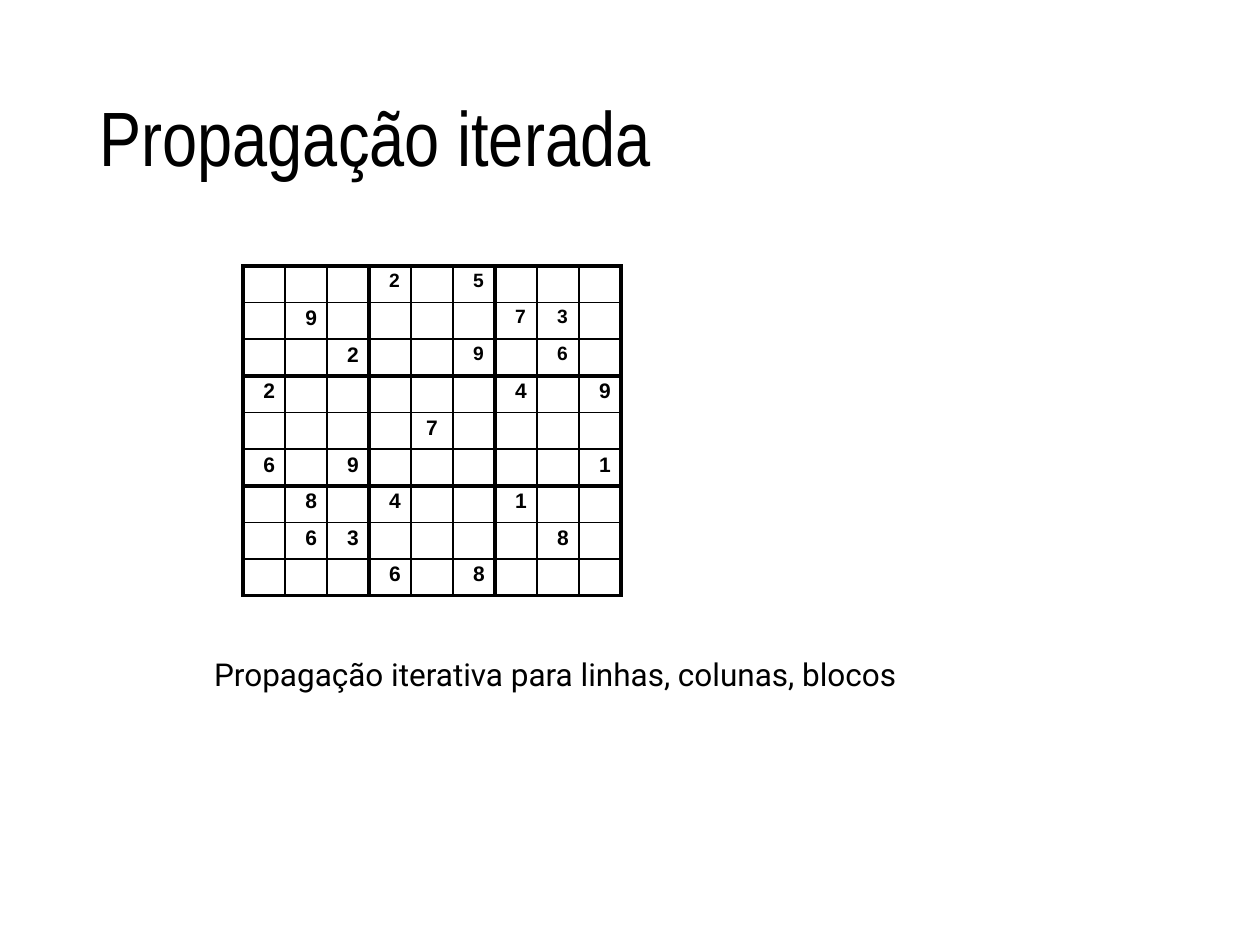
from dataclasses import dataclass

from lxml.etree import SubElement
from pptx import Presentation
from pptx.dml.color import RGBColor
from pptx.enum.text import MSO_ANCHOR, MSO_AUTO_SIZE, PP_ALIGN
from pptx.oxml.ns import qn
from pptx.util import Inches, Pt


@dataclass(frozen=True)
class Theme:
    ink: str = "000000"
    title_font: str = "Arial Narrow"
    body_font: str = "Roboto"
    digit_font: str = "Arial"
    title_size: float = 44
    body_size: float = 18
    digit_size: float = 12
    small_digit_size: float = 11
    thin: float = 1
    thick: float = 2.25


THEME = Theme()
WIDTH, HEIGHT = Inches(10), Inches(7.5)
BLOCK = 3
PUZZLE = [
    "...2.5...",
    ".9....73.",
    "..2..9.6.",
    "2.....4.9",
    "....7....",
    "6.9.....1",
    ".8.4..1..",
    ".63....8.",
    "...6.8...",
]


def share(left, top, width, height):
    """Box in EMU from shares of the slide's size."""
    return [round(part * whole) for part, whole in
            zip((left, top, width, height), (WIDTH, HEIGHT) * 2)]


def write(tf, text, *, font, size, bold=False, align=PP_ALIGN.LEFT,
          before=0, line=None, indent=0):
    p = tf.paragraphs[0]
    p.alignment, p.space_before = align, Pt(before)
    if line:
        p.line_spacing = line
    if indent:
        pPr = p._p.get_or_add_pPr()
        pPr.set("marL", str(Inches(indent)))
        pPr.set("indent", "0")
    r = p.add_run()
    r.text = text
    r.font.name, r.font.size, r.font.bold = font, Pt(size), bold
    r.font.color.rgb = RGBColor.from_string(THEME.ink)


def set_margins(target, top):
    target.margin_left = target.margin_right = target.margin_bottom = 0
    target.margin_top = Inches(top)


def add_title(s, box, text):
    sp = s.shapes.title
    sp.left, sp.top, sp.width, sp.height = box
    tf = sp.text_frame
    tf.auto_size = MSO_AUTO_SIZE.NONE
    tf.vertical_anchor = MSO_ANCHOR.MIDDLE
    write(tf, text, font=THEME.title_font, size=THEME.title_size, line=0.9)


def set_borders(cell, row, col):
    """Thick lines around each block, thin lines inside it."""
    last = BLOCK - 1
    thick = {
        "L": col % BLOCK == 0,
        "R": col % BLOCK == last and col < len(PUZZLE),
        "T": row % BLOCK == 0,
        "B": row % BLOCK == last,
    }
    tcPr = cell._tc.get_or_add_tcPr()
    for side, is_thick in thick.items():
        width = Pt(THEME.thick if is_thick else THEME.thin)
        ln = SubElement(tcPr, qn(f"a:ln{side}"), w=str(width))
        fill = SubElement(ln, qn("a:solidFill"))
        SubElement(fill, qn("a:srgbClr"), val=THEME.ink)


def fill_cell(cell, row, col, digit):
    set_borders(cell, row, col)
    cell.fill.background()
    set_margins(cell, 0.03)
    if digit == ".":
        end = SubElement(cell.text_frame.paragraphs[0]._p, qn("a:endParaRPr"))
        end.set("sz", str(THEME.small_digit_size * 100))
        return
    small = row < BLOCK <= col
    centre = row == col == len(PUZZLE) // 2
    write(cell.text_frame, digit, font=THEME.digit_font, bold=True, before=3.2,
          size=THEME.small_digit_size if small else THEME.digit_size,
          align=PP_ALIGN.CENTER if centre else PP_ALIGN.LEFT,
          indent=0 if centre else 0.16)


def add_sudoku(s, box, puzzle):
    n = len(puzzle)
    table = s.shapes.add_table(n, n, *box).table
    table.first_row = table.horz_banding = False
    for column in table.columns:
        column.width = box[2] // n
    for row in table.rows:
        row.height = box[3] // n
    for i, line in enumerate(puzzle):
        for j, digit in enumerate(line):
            fill_cell(table.cell(i, j), i, j, digit)


def add_caption(s, box, text):
    tf = s.shapes.add_textbox(*box).text_frame
    tf.word_wrap = True
    tf.auto_size = MSO_AUTO_SIZE.SHAPE_TO_FIT_TEXT
    set_margins(tf, 0.05)
    write(tf, text, font=THEME.body_font, size=THEME.body_size,
          before=3.4, indent=0.01)


def main():
    prs = Presentation()
    prs.slide_width, prs.slide_height = WIDTH, HEIGHT
    s = prs.slides.add_slide(prs.slide_layouts.get_by_name("Title Only"))
    add_title(s, share(0.069, 0.4 / 7.5, 0.862, 1.45 / 7.5), "Propagação iterada")
    add_caption(s, share(0.169, 5.15 / 7.5, 0.74, 0.35 / 7.5),
                "Propagação iterativa para linhas, colunas, blocos")
    add_sudoku(s, share(0.193, 2.11 / 7.5, 0.3, 2.62 / 7.5), PUZZLE)
    prs.save("out.pptx")


if __name__ == "__main__":
    main()
